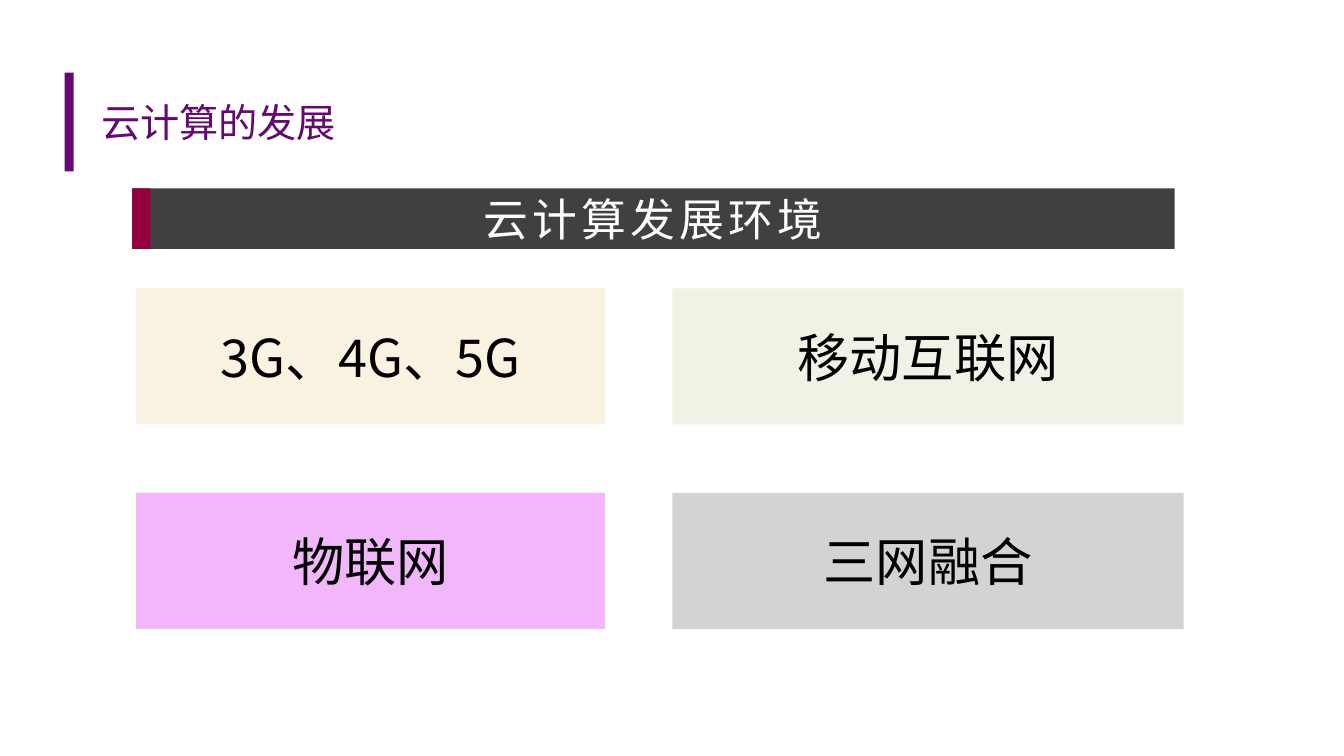
from dataclasses import dataclass

from pptx import Presentation
from pptx.dml.color import RGBColor
from pptx.enum.shapes import MSO_SHAPE
from pptx.enum.text import MSO_ANCHOR, PP_ALIGN
from pptx.oxml.ns import qn
from pptx.util import Inches, Pt

CHINESE_FONT = "Noto Sans CJK SC"
COLORS = {
    "purple": "660874",
    "charcoal": "404040",
    "crimson": "94003F",
    "cream": "FAF3E2",
    "lilac": "F1B7FA",
    "pale green": "EEF3E5",
    "gray": "D3D3D3",
    "white": "FFFFFF",
    "black": "000000",
}


@dataclass(frozen=True)
class Box:
    left: float
    top: float
    width: float
    height: float
    color: str


@dataclass(frozen=True)
class Topic:
    text: str
    column: int
    row: int
    color: str


COLUMNS = [(1.35, 4.65), (6.67, 5.07)]  # left, width
ROW_TOP, ROW_STEP, ROW_HEIGHT = 2.86, 2.03, 1.35

TITLE_BAR = Box(0.64, 0.72, 0.09, 0.98, "purple")
HEADING = Box(1.31, 1.87, 10.34, 0.6, "charcoal")
HEADING_ACCENT = Box(1.31, 1.87, 0.18, 0.6, "crimson")
TOPICS = [
    Topic("3G、4G、5G", 0, 0, "cream"),
    Topic("物联网", 0, 1, "lilac"),
    Topic("移动互联网", 1, 0, "pale green"),
    Topic("三网融合", 1, 1, "gray"),
]


def rgb(name: str) -> RGBColor:
    return RGBColor.from_string(COLORS[name])


def write_text(shape, text: str, *, size: float, color: str,
               font: str = CHINESE_FONT, align=PP_ALIGN.CENTER,
               spacing: float = 0) -> None:
    """Fill a shape with one paragraph; spacing is between letters, in points."""
    frame = shape.text_frame
    frame.word_wrap = True
    frame.vertical_anchor = MSO_ANCHOR.MIDDLE
    paragraph = frame.paragraphs[0]
    paragraph.alignment = align
    run = paragraph.add_run()
    run.text = text
    run.font.size = Pt(size)
    run.font.name = font
    run.font.color.rgb = rgb(color)
    properties = run.font._element
    east_asian = properties.makeelement(qn("a:ea"), {"typeface": CHINESE_FONT})
    properties.find(qn("a:latin")).addnext(east_asian)
    if spacing:
        properties.set("spc", str(round(spacing * 100)))


def add_box(slide, box: Box):
    shape = slide.shapes.add_shape(
        MSO_SHAPE.RECTANGLE, Inches(box.left), Inches(box.top),
        Inches(box.width), Inches(box.height))
    shape.shadow.inherit = False
    shape.fill.solid()
    shape.fill.fore_color.rgb = rgb(box.color)
    shape.line.fill.background()
    return shape


def add_topic(slide, topic: Topic) -> None:
    left, width = COLUMNS[topic.column]
    top = ROW_TOP + topic.row * ROW_STEP
    shape = add_box(slide, Box(left, top, width, ROW_HEIGHT, topic.color))
    write_text(shape, topic.text, size=37.3, color="black")


def format_title(slide) -> None:
    title = slide.shapes.title
    title.left, title.top = Inches(0.91), Inches(0.65)
    title.width, title.height = Inches(11.51), Inches(1.11)
    write_text(title, "云计算的发展", size=28, color="purple",
               font="Calibri", align=PP_ALIGN.LEFT, spacing=-0.1)


def main() -> None:
    presentation = Presentation()
    presentation.slide_width = Inches(13.33)
    presentation.slide_height = Inches(7.5)
    slide = presentation.slides.add_slide(presentation.slide_layouts[5])

    format_title(slide)
    add_box(slide, TITLE_BAR)
    heading = add_box(slide, HEADING)
    write_text(heading, "云计算发展环境", size=32, color="white", spacing=3)
    add_box(slide, HEADING_ACCENT)
    for topic in TOPICS:
        add_topic(slide, topic)

    presentation.save("out.pptx")


if __name__ == "__main__":
    main()
